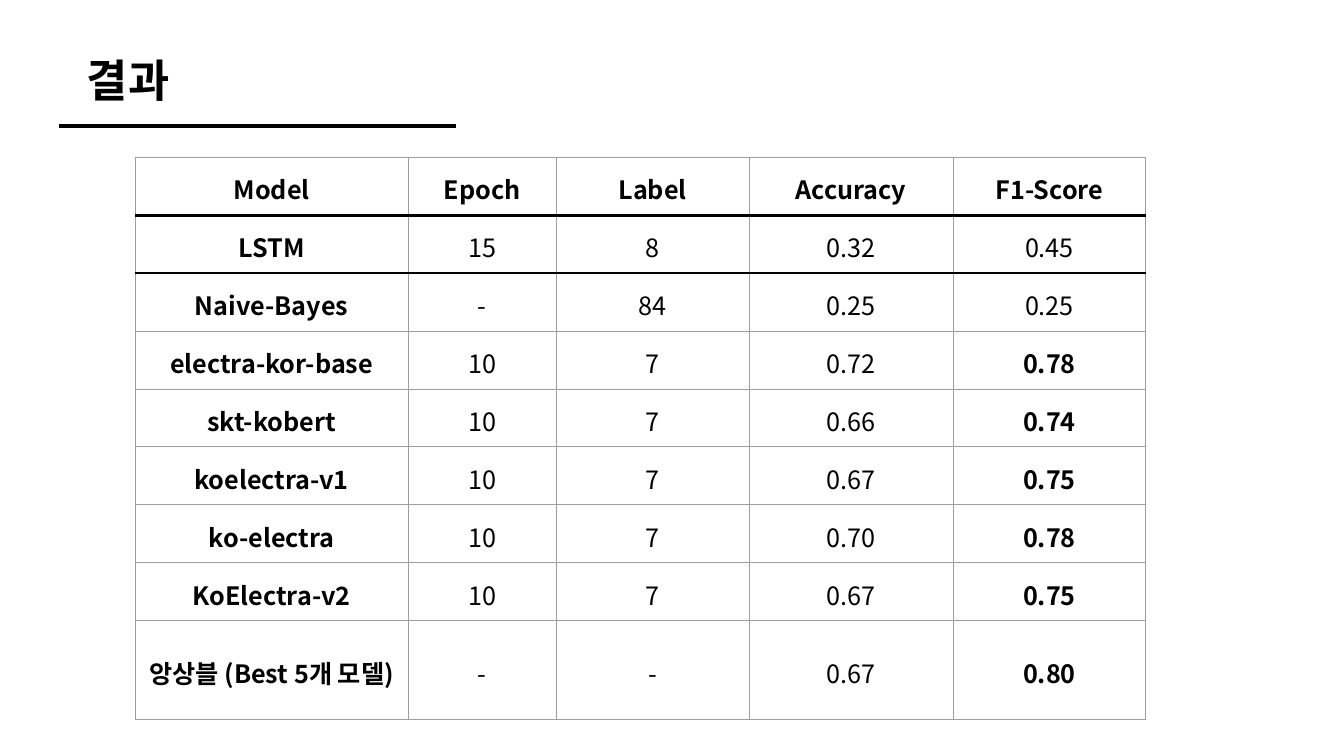
"""Build the results slide: a title, its rule and the model score table."""
from dataclasses import dataclass

from lxml.etree import SubElement
from pptx import Presentation
from pptx.dml.color import RGBColor
from pptx.enum.shapes import MSO_CONNECTOR as Connector
from pptx.enum.text import MSO_ANCHOR as Anchor, PP_ALIGN as Align
from pptx.oxml.ns import qn
from pptx.util import Pt


@dataclass(frozen=True)
class Theme:
    """Hold the colours, font and sizes of the slide."""
    ink: str = "000000"
    grid: str = "9E9E9E"
    face: str = "Noto Sans CJK KR"
    title: float = 32
    body: float = 18
    thin: float = 0.75
    thick: float = 2.25
    rule: float = 3.25


THEME = Theme()
HEADER = ("Model", "Epoch", "Label", "Accuracy", "F1-Score")
RESULTS = (
    ("LSTM", "15", "8", "0.32", "0.45"),
    ("Naive-Bayes", "-", "84", "0.25", "0.25"),
    ("electra-kor-base", "10", "7", "0.72", "0.78"),
    ("skt-kobert", "10", "7", "0.66", "0.74"),
    ("koelectra-v1", "10", "7", "0.67", "0.75"),
    ("ko-electra", "10", "7", "0.70", "0.78"),
    ("KoElectra-v2", "10", "7", "0.67", "0.75"),
    ("앙상블 (Best 5개 모델)", "-", "-", "0.67", "0.80"),
)
COLUMN_WIDTHS = (195, 105.8, 137.8, 145.7, 137.8)
ROW_HEIGHT = 41.4
GOOD_SCORE = 0.7
THICK_EDGES = (1, 2)


def assign(target, values):
    """Set each named attribute of the target."""
    for name, value in values.items():
        setattr(target, name, value)


def write(frame, text, size, bold, spacing):
    """Put one centred line of text into a text frame."""
    para = frame.paragraphs[0]
    assign(para, {"alignment": Align.CENTER, "line_spacing": spacing})
    span = para.add_run()
    span.text = text
    assign(span.font, {"size": Pt(size), "bold": bold, "name": THEME.face})
    span.font.color.rgb = RGBColor.from_string(THEME.ink)
    SubElement(span.font._element, qn("a:ea"), typeface=THEME.face)


def add_title(page, text, left, top, width, height):
    """Add the slide title."""
    box = page.shapes.add_textbox(Pt(left), Pt(top), Pt(width), Pt(height))
    assign(box.text_frame, {"word_wrap": True, "vertical_anchor": Anchor.MIDDLE})
    write(box.text_frame, text, THEME.title, True, 0.9)


def add_rule(page, left, right, height):
    """Add a horizontal line under the title."""
    rule = page.shapes.add_connector(
        Connector.STRAIGHT, Pt(left), Pt(height), Pt(right), Pt(height))
    rule.line.width = Pt(THEME.rule)
    rule.line.color.rgb = RGBColor.from_string(THEME.ink)
    SubElement(rule._element.spPr, qn("a:effectLst"))


def draw_borders(cell, row):
    """Draw the four borders of a cell, heavy on the thick edges."""
    properties = cell._tc.get_or_add_tcPr()
    for side, edge in (("L", None), ("R", None), ("T", row), ("B", row + 1)):
        heavy = edge in THICK_EDGES
        width = THEME.thick if heavy else THEME.thin
        border = SubElement(properties, qn(f"a:ln{side}"), w=str(Pt(width)))
        fill = SubElement(border, qn("a:solidFill"))
        SubElement(fill, qn("a:srgbClr"), val=THEME.ink if heavy else THEME.grid)


def is_bold(row, column, text):
    """Tell whether a cell is a heading or a good final score."""
    last = column == len(HEADER) - 1
    return row == 0 or column == 0 or (last and float(text) >= GOOD_SCORE)


def add_results(page, left, top):
    """Add the table of models and scores."""
    rows = (HEADER, *RESULTS)
    table = page.shapes.add_table(
        len(rows), len(HEADER), Pt(left), Pt(top),
        Pt(sum(COLUMN_WIDTHS)), Pt(ROW_HEIGHT * len(rows))).table
    assign(table, {"first_row": False, "horz_banding": False})
    for column, width in zip(table.columns, COLUMN_WIDTHS):
        column.width = Pt(width)
    sides = ("left", "right", "top", "bottom")
    layout = {f"margin_{side}": Pt(5.2) for side in sides}
    layout["vertical_anchor"] = Anchor.MIDDLE
    for row, texts in enumerate(rows):
        table.rows[row].height = Pt(ROW_HEIGHT)
        for column, text in enumerate(texts):
            cell = table.cell(row, column)
            assign(cell, layout)
            draw_borders(cell, row)
            cell.fill.background()
            write(cell.text_frame, text, THEME.body,
                  is_bold(row, column, text), 1.15)


def main():
    """Build and save the deck."""
    deck = Presentation()
    assign(deck, {"slide_width": Pt(960), "slide_height": Pt(540)})
    page = deck.slides.add_slide(deck.slide_layouts[6])
    add_results(page, 96.5, 112.3)
    add_rule(page, 42.3, 326, 90)
    add_title(page, "결과", 24.5, 20, 134, 78)
    deck.save("out.pptx")


if __name__ == "__main__":
    main()
